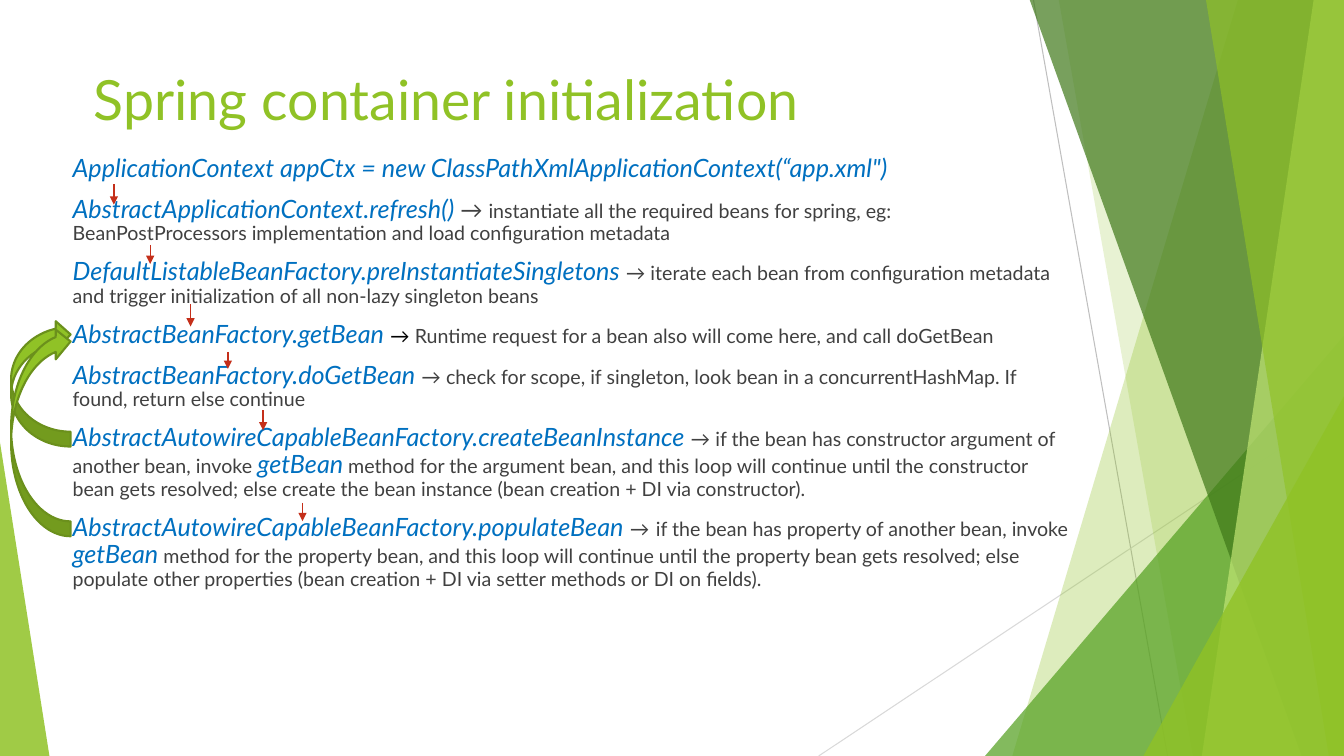
from lxml import etree
from pptx import Presentation
from pptx.dml.color import RGBColor
from pptx.enum.shapes import MSO_CONNECTOR, MSO_SHAPE
from pptx.enum.text import MSO_ANCHOR, MSO_AUTO_SIZE, PP_ALIGN
from pptx.oxml.ns import qn
from pptx.util import Inches, Pt

STRAIGHT = MSO_CONNECTOR.STRAIGHT
TRIANGLE = MSO_SHAPE.ISOSCELES_TRIANGLE
LOOP_ARROW = MSO_SHAPE.CURVED_LEFT_ARROW
TOP = MSO_ANCHOR.TOP
NO_FIT = MSO_AUTO_SIZE.NONE
LEFT = PP_ALIGN.LEFT

COLORS = {
    "green": "90C226", "leaf": "54A021", "forest": "3F7819", "lime": "C0E474",
    "olive": "6B901C", "blue": "0070C0", "gray": "404040", "black": "000000",
    "red": "C42F1A", "silver": "BFBFBF", "mist": "D9D9D9",
}
STYLES = {
    "title": (39.6, "green", False),
    "code": (18, "blue", True),
    "note": (14, "gray", False),
    "large": (16, "gray", False),
    "wide": (18, "gray", False),
    "dark": (14, "black", False),
}


class SlideWriter:
    font = "Lato"

    def __init__(self, slide):
        self.slide = slide
        self.shapes = slide.shapes

    def color(self, name):
        return RGBColor.from_string(COLORS[name])

    def paint(self, shape, fill, opacity=100, line=None):
        shape.shadow.inherit = False
        shape.fill.solid()
        shape.fill.fore_color.rgb = self.color(fill)
        if opacity < 100:
            tint = shape.fill._xPr.find(qn("a:solidFill"))[0]
            etree.SubElement(tint, qn("a:alpha"), val=str(opacity * 1000))
        if line:
            shape.line.color.rgb = self.color(line)
            shape.line.width = Pt(1.5)
        else:
            shape.line.fill.background()

    def facet(self, points, fill, opacity):
        corners = [(Inches(x), Inches(y)) for x, y in points]
        builder = self.shapes.build_freeform(*corners[0], scale=1.0)
        builder.add_line_segments(corners[1:], close=True)
        self.paint(builder.convert_to_shape(), fill, opacity)

    def triangle(self, left, top, width, height, apex, fill, opacity):
        shape = self.shapes.add_shape(TRIANGLE, *map(Inches, (left, top, width, height)))
        shape.adjustments[0] = apex
        self.paint(shape, fill, opacity)

    def loop(self, left, top, width, height):
        shape = self.shapes.add_shape(LOOP_ARROW, *map(Inches, (left, top, width, height)))
        shape.rotation = 180
        self.paint(shape, "green", line="olive")

    def line(self, start, end, color, width, arrow=False):
        connector = self.shapes.add_connector(STRAIGHT, *map(Inches, (*start, *end)))
        connector.line.color.rgb = self.color(color)
        connector.line.width = Pt(width)
        if arrow:
            etree.SubElement(connector.line._get_or_add_ln(), qn("a:tailEnd"), type="triangle")
        etree.SubElement(connector._element.spPr, qn("a:effectLst"))

    def text(self, placeholder, box, paragraphs, space_before=0):
        placeholder.left, placeholder.top, placeholder.width, placeholder.height = map(Inches, box)
        self.shapes._spTree.append(placeholder._element)
        frame = placeholder.text_frame
        frame.word_wrap = True
        frame.auto_size = NO_FIT
        frame.vertical_anchor = TOP
        for index, runs in enumerate(paragraphs):
            paragraph = frame.add_paragraph() if index else frame.paragraphs[0]
            paragraph.alignment = LEFT
            paragraph.line_spacing = 0.9
            paragraph.space_before = Pt(space_before)
            properties = paragraph._p.get_or_add_pPr()
            properties.set("marL", "0")
            properties.set("indent", "0")
            etree.SubElement(properties, qn("a:buNone"))
            for style, words in runs:
                run = paragraph.add_run()
                run.text = words
                size, color, italic = STYLES[style]
                run.font.name = self.font
                run.font.size = Pt(size)
                run.font.italic = italic
                run.font.color.rgb = self.color(color)


WIDTH, HEIGHT = 13.33, 7.5
FACETS_BEHIND = [(12.28, 10.04, "green", 30), (10.5, 11.83, "green", 20)]
FACETS_FRONT = [
    (10.21, 12.91, "forest", 70),
    (13.03, 11.92, "lime", 70),
    (11.96, 13.18, "green", 65),
]
STEPS = [
    [("code", "ApplicationContext appCtx = new ClassPathXmlApplicationContext(“app.xml\")")],
    [("code", "AbstractApplicationContext.refresh() "), ("large", "→ "),
     ("note", "instantiate all the required beans for spring, eg: BeanPostProcessors "
              "implementation and load configuration metadata")],
    [("code", "DefaultListableBeanFactory.preInstantiateSingletons "),
     ("note", "→ iterate each bean from configuration metadata and trigger "
              "initialization of all non-lazy singleton beans")],
    [("code", "AbstractBeanFactory.getBean "), ("dark", "→"),
     ("note", " Runtime request for a bean also will come here, and call doGetBean")],
    [("code", "AbstractBeanFactory.doGetBean "),
     ("note", "→ check for scope, if singleton, look bean in a concurrentHashMap. "
              "If found, return else continue")],
    [("code", "AbstractAutowireCapableBeanFactory.createBeanInstance "),
     ("note", "→ if the bean has constructor argument of another bean, invoke "),
     ("code", "getBean"),
     ("note", " method for the argument bean, and this loop will continue until the "
              "constructor bean gets resolved; else create the bean instance "
              "(bean creation + DI via constructor).")],
    [("code", "AbstractAutowireCapableBeanFactory.populateBean "),
     ("note", "→"), ("wide", " "),
     ("note", "if the bean has property of another bean, invoke "),
     ("code", "getBean"),
     ("note", " method for the property bean, and this loop will continue until the "
              "property bean gets resolved; else populate other properties "
              "(bean creation + DI via setter methods or DI on fields).")],
]
STEP_ARROWS = [
    (1.13, 1.83, 2.03), (1.49, 2.43, 2.62), (1.89, 3.02, 3.24),
    (2.26, 3.49, 3.66), (2.61, 4.07, 4.27), (3, 4.99, 5.17),
]

deck = Presentation()
deck.slide_width, deck.slide_height = Inches(WIDTH), Inches(HEIGHT)
slide = deck.slides.add_slide(deck.slide_layouts[1])
writer = SlideWriter(slide)


def add_facets(facets):
    for top_x, bottom_x, fill, opacity in facets:
        corners = [(top_x, -0.01), (WIDTH, -0.01), (WIDTH, HEIGHT), (bottom_x, HEIGHT)]
        writer.facet(corners, fill, opacity)


writer.line((10.25, 0), (11.58, HEIGHT), "silver", 0.75)
writer.line((WIDTH, 4.03), (8.12, HEIGHT), "mist", 0.75)
add_facets(FACETS_BEHIND)
writer.triangle(9.77, 3.33, 3.56, 4.17, 1, "leaf", 72)
add_facets(FACETS_FRONT)
writer.triangle(11.34, 3.93, 1.99, 3.57, 1, "green", 80)
writer.triangle(0, 4.39, 0.49, 3.11, 0, "green", 85)

title, steps = slide.placeholders
writer.text(title, (0.83, 0.67, 9.31, 1.44), [[("title", "Spring container initialization")]])
writer.text(steps, (0.62, 1.49, 10.08, 4.9), STEPS, space_before=10)

for x, start_y, end_y in STEP_ARROWS:
    writer.line((x, start_y), (x, end_y), "red", 1, arrow=True)
for top, height in [(3.17, 1.26), (3.24, 2.08)]:
    writer.loop(0.11, top, 0.59, height)

deck.save("out.pptx")
